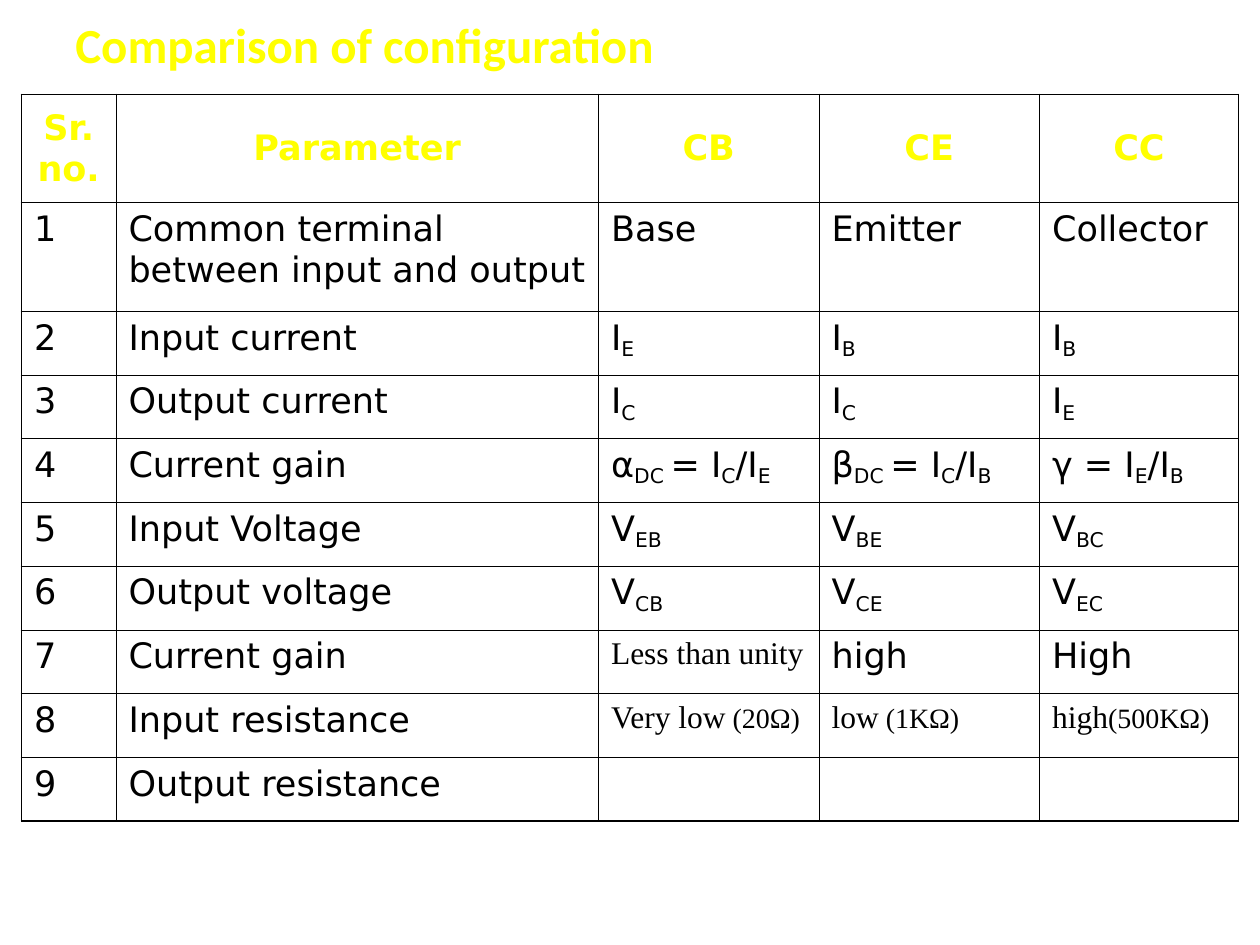
from dataclasses import dataclass

import pptx
import pptx.dml.color
import pptx.enum.text
import pptx.oxml
import pptx.oxml.ns
import pptx.util

Inches = pptx.util.Inches
Pt = pptx.util.Pt


@dataclass(frozen=True)
class Theme:
    accent: str = "FFFF00"
    ink: str = "000000"
    title_font: str = "Calibri"
    body_font: str = "DejaVu Sans"
    remark_font: str = "Times New Roman"
    title_size: int = 28
    body_size: int = 20
    remark_sizes: tuple = (18, 16)
    inner_line: float = 0.45
    outer_line: float = 1.08


THEME = Theme()
HEADINGS = ["Sr.no.", "Parameter", "CB", "CE", "CC"]
PARAMETERS = [
    ("Common terminal between input and output", "Base", "Emitter", "Collector"),
    ("Input current", "I|E", "I|B", "I|B"),
    ("Output current", "I|C", "I|C", "I|E"),
    ("Current gain", "α|DC |= I|C|/I|E", "β|DC |= I|C|/I|B", "γ = I|E|/I|B"),
    ("Input Voltage", "V|EB", "V|BE", "V|BC"),
    ("Output voltage", "V|CB", "V|CE", "V|EC"),
    ("Current gain", ("Less than unity",), "high", "High"),
    ("Input resistance", ("Very low", " (20Ω)"), ("low", " (1KΩ)"), ("high", "(500KΩ)")),
    ("Output resistance", "", "", ""),
]
COLUMN_WIDTHS = [0.75, 3.83, 1.75, 1.75, 1.58]
TALL_ROW = 0.86
TALL_ROWS = 2


def add_run(paragraph, text, font, size, color, bold=False):
    run = paragraph.add_run()
    run.text = text
    run.font.name = font
    run.font.size = Pt(size)
    run.font.bold = bold
    run.font.color.rgb = pptx.dml.color.RGBColor.from_string(color)
    return run


def write_value(paragraph, value):
    if isinstance(value, tuple):
        for text, size in zip(value, THEME.remark_sizes):
            add_run(paragraph, text, THEME.remark_font, size, THEME.ink)
    elif value:
        for position, text in enumerate(value.split("|")):
            run = add_run(paragraph, text, THEME.body_font, THEME.body_size, THEME.ink)
            if position % 2:
                run.font._element.set("baseline", "-18000")


def set_borders(cell, outer_sides):
    properties = cell._tc.get_or_add_tcPr()
    for side in "LRTB":
        width = THEME.outer_line if side in outer_sides else THEME.inner_line
        properties.append(pptx.oxml.parse_xml(
            f'<a:ln{side} {pptx.oxml.ns.nsdecls("a")} w="{int(Pt(width))}">'
            f'<a:solidFill><a:srgbClr val="{THEME.ink}"/></a:solidFill></a:ln{side}>'
        ))


def add_title(slide, left, top, width, height):
    title = slide.shapes.add_textbox(left, top, width, height).text_frame
    title.word_wrap = True
    title.vertical_anchor = pptx.enum.text.MSO_ANCHOR.MIDDLE
    add_run(title.paragraphs[0], "Comparison of configuration",
            THEME.title_font, THEME.title_size, THEME.accent, bold=True)


def add_comparison(slide, left, top, width, height):
    rows = [HEADINGS] + [(str(number), *values) for number, values in enumerate(PARAMETERS, 1)]
    last_row, last_column = len(rows) - 1, len(HEADINGS) - 1
    comparison = slide.shapes.add_table(len(rows), len(HEADINGS), left, top, width, height).table
    comparison.first_row = comparison.horz_banding = False
    for column, column_width in zip(comparison.columns, COLUMN_WIDTHS):
        column.width = Inches(column_width)
    tall = Inches(TALL_ROW)
    short = (height - TALL_ROWS * tall) // (len(rows) - TALL_ROWS)
    for r, values in enumerate(rows):
        comparison.rows[r].height = tall if r < TALL_ROWS else short
        for c, value in enumerate(values):
            cell = comparison.cell(r, c)
            edges = {"L": c == 0, "R": c == last_column, "T": r == 0, "B": r == last_row}
            set_borders(cell, [side for side, outer in edges.items() if outer])
            cell.fill.background()
            paragraph = cell.text_frame.paragraphs[0]
            if r == 0:
                cell.vertical_anchor = pptx.enum.text.MSO_ANCHOR.MIDDLE
                paragraph.alignment = pptx.enum.text.PP_ALIGN.CENTER
                add_run(paragraph, value, THEME.body_font, THEME.body_size, THEME.accent, bold=True)
            else:
                write_value(paragraph, value)


def main():
    deck = pptx.Presentation()
    deck.slide_width, deck.slide_height = Inches(10), Inches(7.5)
    slide = deck.slides.add_slide(deck.slide_layouts[6])
    add_title(slide, Inches(0.5), Inches(0.08), Inches(9), Inches(0.53))
    add_comparison(slide, Inches(0.17), Inches(0.75), Inches(sum(COLUMN_WIDTHS)), Inches(5.77))
    deck.save("out.pptx")


if __name__ == "__main__":
    main()
